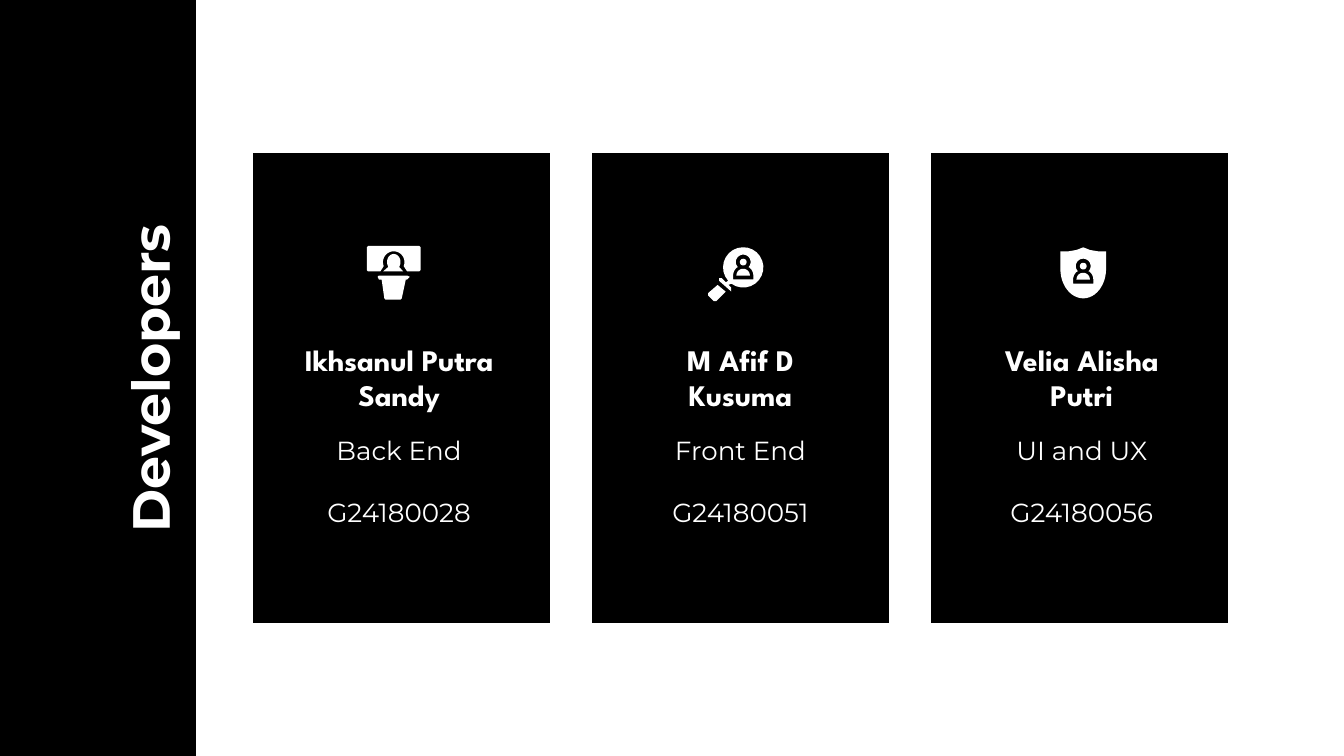
from math import cos, sin, radians
from pptx import Presentation
from pptx.dml.color import RGBColor as RGB
from pptx.enum.shapes import MSO_SHAPE as Shape
from pptx.enum.text import MSO_ANCHOR as Anchor, PP_ALIGN as Align
from pptx.util import Inches, Pt

# Content
TITLE = "Developers"
TEAM = [
    ("Ikhsanul Putra Sandy", "Back End", "G24180028"),
    ("M Afif D Kusuma", "Front End", "G24180051"),
    ("Velia Alisha Putri", "UI and UX", "G24180056"),
]


class Theme:
    dark, light = RGB(0, 0, 0), RGB(255, 255, 255)
    head, body = "League Spartan", "Montserrat"
    title, name, role = Pt(28), Pt(16), Pt(14)


# Icon outlines, in inches on the slide
def arc(x, y, wide, high, start, end):
    """Points on an ellipse, angles counted anticlockwise from the right."""
    turns = [radians(start + (end - start) * i / 24) for i in range(25)]
    return [(x + wide * cos(t), y - high * sin(t)) for t in turns]


def bust(x, y):
    """Outline of a head and shoulders, with the head centred on x, y."""
    return (arc(x, y, 0.055, 0.055, -45, 225)
            + arc(x, y + 0.1, 0.075, 0.075, 125, 180)
            + [(x - 0.075, y + 0.13), (x + 0.075, y + 0.13)]
            + arc(x, y + 0.1, 0.075, 0.075, 0, 55))


def person(x, y):
    """Head and shoulders that fit inside a bust."""
    return [[arc(x, y, 0.025, 0.025, 0, 360)],
            [arc(x, y + 0.1, 0.05, 0.05, 0, 180)]]


podium = [(2.82, 2.05), (3.03, 2.05), (3.05, 2.06), (3.03, 2.08),
          (3.02, 2.08), (2.99, 2.22), (2.98, 2.23), (2.87, 2.23),
          (2.86, 2.22), (2.84, 2.08), (2.82, 2.08), (2.81, 2.06)]
screen = ([(2.74, 1.83), (3.12, 1.83), (3.13, 1.84), (3.13, 2.01),
           (3.12, 2.02), (3.03, 2.02)]
          + arc(2.93, 1.95, 0.08, 0.08, -22, 202)
          + [(2.83, 2.02), (2.74, 2.02), (2.73, 2.01), (2.73, 1.84)])
speaker = arc(2.93, 1.95, 0.05, 0.06, -37, 217) + [(2.85, 2.02), (3, 2.02)]

lens = (arc(5.53, 1.99, 0.15, 0.15, 222, -126)
        + [(5.42, 2.12), (5.44, 2.14), (5.44, 2.17), (5.43, 2.16),
           (5.35, 2.09), (5.35, 2.07), (5.37, 2.07), (5.4, 2.1)])
grip = [(5.34, 2.12), (5.4, 2.17), (5.33, 2.24), (5.31, 2.24),
        (5.27, 2.2), (5.27, 2.18)]

shield = (arc(8.06, 2, 0.17, 0.22, 0, -180)
          + [(7.89, 1.87), (7.95, 1.87), (8.01, 1.86), (8.06, 1.84),
             (8.11, 1.86), (8.17, 1.87), (8.23, 1.87)])

# Each icon is a list of shapes; each shape is a list of closed outlines
ICONS = [
    [[podium], [screen], [speaker]],
    [[lens, bust(5.53, 1.95)], [grip], *person(5.53, 1.95)],
    [[shield, bust(8.06, 1.98)], *person(8.06, 1.98)],
]

# Slide in 16:9
deck = Presentation()
deck.slide_width = Inches(10)
deck.slide_height = deck.slide_width * 9 // 16
slide = deck.slides.add_slide(deck.slide_layouts[6])


def panel(x, y, w, h, edge):
    box = slide.shapes.add_shape(
        Shape.RECTANGLE, Inches(x), Inches(y), Inches(w), Inches(h))
    box.shadow.inherit = False
    box.fill.solid()
    box.fill.fore_color.rgb = Theme.dark
    box.line.color.rgb = Theme.light
    box.line.width = Pt(edge)


def label(lines, x, y, w, h, face, size, bold=False, gap=0):
    box = slide.shapes.add_textbox(Inches(x), Inches(y), Inches(w), Inches(h))
    frame = box.text_frame
    frame.word_wrap = True
    frame.vertical_anchor = Anchor.TOP
    frame.margin_left = frame.margin_right = Inches(0.1)
    frame.margin_top = frame.margin_bottom = Inches(0.1)
    frame.text = "\n".join(lines)
    for i, para in enumerate(frame.paragraphs):
        para.alignment = Align.CENTER
        para.space_before = Pt(gap if i else 0)
        font = para.font
        font.name, font.size, font.bold = face, size, bold
        font.color.rgb = Theme.light
    return box


def icon(parts):
    group = slide.shapes.add_group_shape()
    for loops in parts:
        rings = [[(Inches(x), Inches(y)) for x, y in loop] for loop in loops]
        pen = group.shapes.build_freeform(*rings[0][0])
        for i, ring in enumerate(rings):
            if i:
                pen.move_to(*ring[0])
            pen.add_line_segments(ring[1:], close=True)
        form = pen.convert_to_shape()
        form.shadow.inherit = False
        form.fill.solid()
        form.fill.fore_color.rgb = Theme.light
        form.line.fill.background()


# Side band with the upright title
panel(-0.08, -0.06, 1.55, 5.78, 1.5)
label([TITLE], -1.14, 2.5, 4.46, 0.63,
      Theme.body, Theme.title, True).rotation = 270

# One card for each developer; the text steps slightly wider than the cards
FIRST, LAST, WIDE = 1.86, 6.91, 2.25
START, END, TEXT = 2.12, 7.2, 1.7
for i, ((name, role, code), parts) in enumerate(zip(TEAM, ICONS)):
    part = i / (len(TEAM) - 1)
    left = FIRST + part * (LAST - FIRST)
    inner = START + part * (END - START)
    panel(left, 1.12, WIDE, 3.54, 3)
    icon(parts)
    label([name], inner, 2.44, TEXT, 0.34, Theme.head, Theme.name, True)
    label([role, code], inner, 3.13, TEXT, 1.17,
          Theme.body, Theme.role, gap=16.5)

deck.save("out.pptx")
